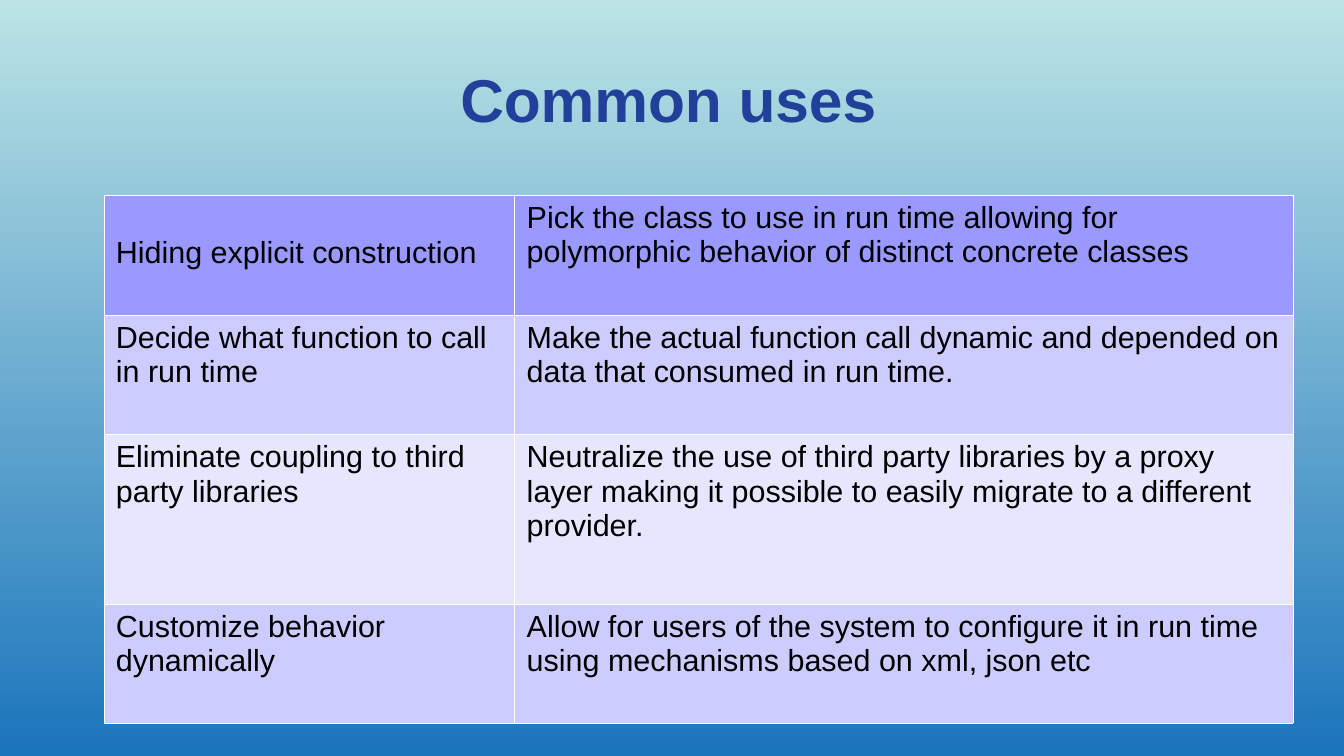
from lxml import etree
from pptx import Presentation, util as u
from pptx.dml.color import RGBColor
from pptx.enum import text
from pptx.oxml import parse_xml
from pptx.oxml.ns import nsdecls

# Content
TITLE = "Common uses"
ROWS = [
    ("Hiding explicit construction",
     "Pick the class to use in run time allowing for polymorphic behavior"
     " of distinct concrete classes"),
    ("Decide what function to call in run time",
     "Make the actual function call dynamic and depended on data that"
     " consumed in run time."),
    ("Eliminate coupling to third party libraries",
     "Neutralize the use of third party libraries by a proxy layer making it"
     " possible to easily migrate to a different\nprovider."),
    ("Customize behavior dynamically",
     "Allow for users of the system to configure it in run time using"
     " mechanisms based on xml, json etc"),
]

# Format
HEX = {"sky": "BCE4E5", "sea": "1B75BC", "title": "21409A", "ink": "000000",
       "line": "FFFFFF", "head": "9999FF", "mid": "CCCCFF", "pale": "E6E6FF"}
FILLS = ["head", "mid", "pale", "mid"]
WIDTHS = [242.6, 459.4]
HEIGHTS = [70.6, 70.6, 100.1, 70.6]
LEFT, TOP = 61.2, 115.2
EDGE = 0.06
DROP = 23.8  # top margin that lowers the first cell's text by one line
FONTS = {
    "title": {"name": "Arial", "size": u.Pt(35.7), "bold": True},
    "ink": {"name": "Arial", "size": u.Pt(18), "bold": False},
}


def color(key):
    return RGBColor.from_string(HEX[key])


def style(frame, key):
    for para in frame.paragraphs:
        for run in para.runs:
            for name, val in FONTS[key].items():
                setattr(run.font, name, val)
            run.font.color.rgb = color(key)


def border(cell):
    props = cell._tc.get_or_add_tcPr()
    for i, side in enumerate("LRTB"):
        props.insert(i, parse_xml(
            f'<a:ln{side} {nsdecls("a")} w="{u.Pt(EDGE)}"><a:solidFill>'
            f'<a:srgbClr val="{HEX["line"]}"/></a:solidFill></a:ln{side}>'))


prs = Presentation()
prs.slide_width, prs.slide_height = u.Pt(793.5), u.Pt(446.4)
slide = prs.slides.add_slide(prs.slide_layouts[6])

# Background
back = slide.background.fill
back.gradient()
back.gradient_angle = 270
for stop, key, pos in zip(back.gradient_stops, ("sky", "sea"), (0, 1)):
    stop.color.rgb = color(key)
    stop.position = pos

# Title
box = slide.shapes.add_textbox(u.Pt(14.4), u.Pt(21.6), u.Pt(770.4), u.Pt(73.4))
frame = box.text_frame
for name, val in {"word_wrap": True, "margin_left": 0, "margin_top": 0,
                  "margin_right": u.Pt(10), "margin_bottom": 0,
                  "vertical_anchor": text.MSO_ANCHOR.MIDDLE}.items():
    setattr(frame, name, val)
frame.text = TITLE
frame.paragraphs[0].alignment = text.PP_ALIGN.CENTER
style(frame, "title")

# Table
table = slide.shapes.add_table(
    len(ROWS), len(WIDTHS), u.Pt(LEFT), u.Pt(TOP),
    u.Pt(sum(WIDTHS)), u.Pt(sum(HEIGHTS))).table
table.first_row = table.horz_banding = False
for col, width in zip(table.columns, WIDTHS):
    col.width = u.Pt(width)
for row, height, words, fill in zip(table.rows, HEIGHTS, ROWS, FILLS):
    row.height = u.Pt(height)
    for cell, word in zip(row.cells, words):
        cell.text = word
        style(cell.text_frame, "ink")
        border(cell)
        cell.fill.solid()
        cell.fill.fore_color.rgb = color(fill)
table.cell(0, 0).margin_top = u.Pt(DROP)

prs.save("out.pptx")
